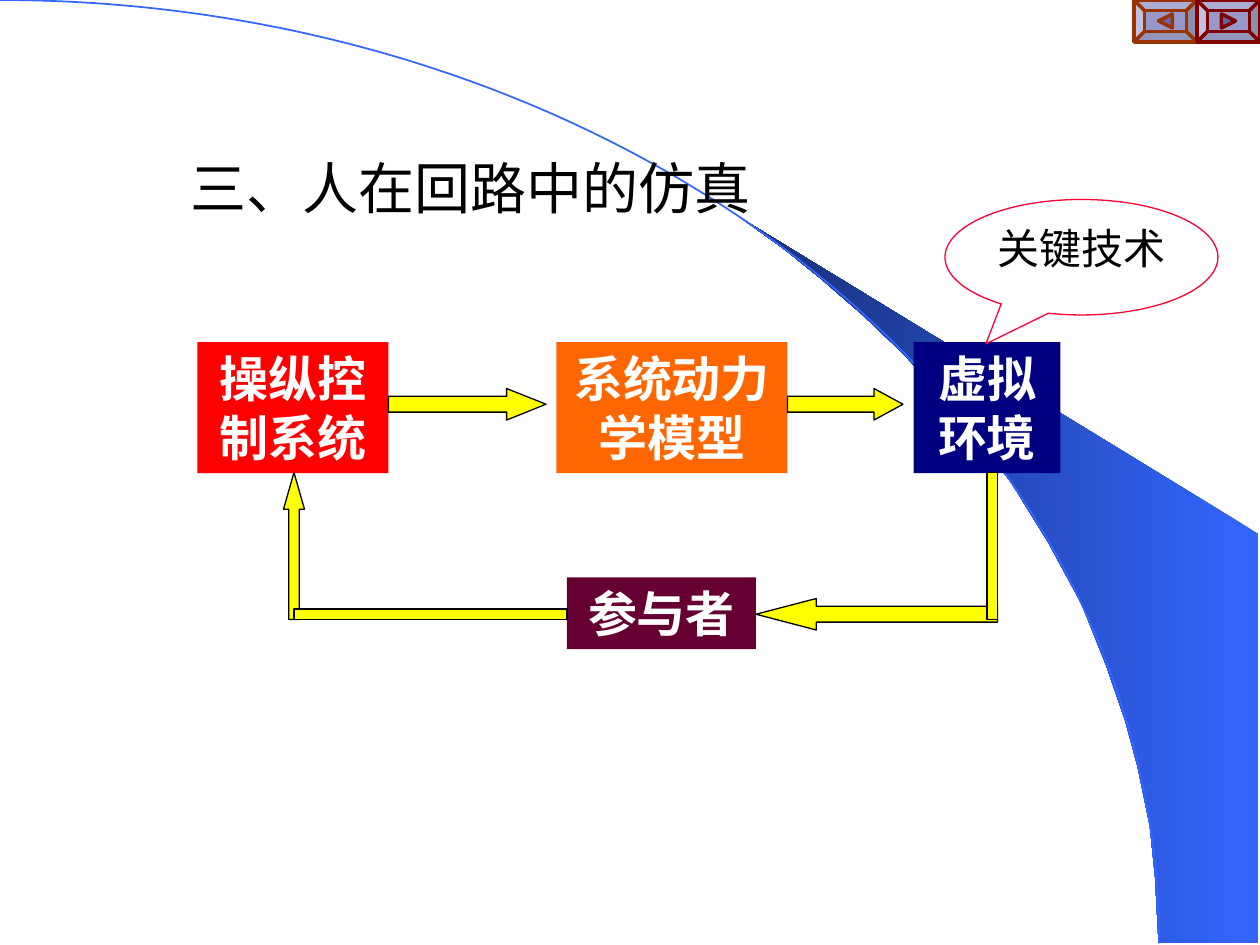
from dataclasses import dataclass
from lxml.etree import SubElement
from pptx import Presentation
from pptx.dml.color import RGBColor
from pptx.enum.shapes import MSO_SHAPE as Shape
from pptx.enum.text import MSO_ANCHOR as Anchor, PP_ALIGN as Align
from pptx.oxml.ns import qn
from pptx.util import Pt


@dataclass(frozen=True)
class Theme:
    font: str = "Times New Roman"
    title_size: float = 32
    box_size: float = 28
    note_size: float = 24
    thin: float = 0.75
    arc_width: float = 1
    button_width: float = 2
    black: str = "000000"
    white: str = "FFFFFF"
    blue: str = "3366FF"
    deep_blue: str = "172F75"
    red: str = "FF0000"
    orange: str = "FF6600"
    navy: str = "000080"
    plum: str = "660033"
    yellow: str = "FFFF00"
    callout: str = "FF0033"
    button: str = "333399"
    back: str = "993300"
    forward: str = "800000"


class SlideBuilder:
    """Draws themed elements on one slide, with lengths in points."""

    def __init__(self, slide, theme):
        self.slide = slide
        self.theme = theme

    def style(self, shape, fill=None, line=None, width=0.75, alpha=None):
        shape.shadow.inherit = False
        if fill:
            shape.fill.solid()
            shape.fill.fore_color.rgb = RGBColor.from_string(fill)
            if alpha:
                color = shape.fill._xPr.find(qn("a:solidFill"))[0]
                SubElement(color, qn("a:alpha")).set("val", str(alpha * 1000))
        else:
            shape.fill.background()
        if line:
            shape.line.color.rgb = RGBColor.from_string(line)
            shape.line.width = Pt(width)
        else:
            shape.line.fill.background()
        return shape

    def shape(self, kind, bounds, adjustments=(), **style):
        shape = self.slide.shapes.add_shape(kind, *map(Pt, bounds))
        for index, value in enumerate(adjustments):
            shape.adjustments[index] = value
        return self.style(shape, **style)

    def outline(self, points, **style):
        builder = self.slide.shapes.build_freeform(*points[0], scale=Pt(1))
        builder.add_line_segments(points[1:], close=True)
        return self.style(builder.convert_to_shape(), **style)

    def text(self, shape, text, size, color, bold=False, align=Align.CENTER, wrap=True):
        frame = shape.text_frame
        frame.text = text
        frame.word_wrap = wrap
        frame.vertical_anchor = Anchor.TOP
        paragraph = frame.paragraphs[0]
        paragraph.alignment = align
        font = paragraph.runs[0].font
        font.name, font.size, font.bold = self.theme.font, Pt(size), bold
        font.color.rgb = RGBColor.from_string(color)

    def title(self, text, bounds):
        box = self.slide.shapes.add_textbox(*map(Pt, bounds))
        self.text(box, text, self.theme.title_size, self.theme.black,
                  align=Align.LEFT, wrap=False)

    def box(self, text, bounds, fill):
        shape = self.shape(Shape.RECTANGLE, bounds, fill=fill)
        self.text(shape, text, self.theme.box_size, self.theme.white, bold=True)

    def callout(self, text, bounds, tip):
        shape = self.shape(Shape.OVAL_CALLOUT, bounds, tip,
                           line=self.theme.callout, width=self.theme.thin)
        self.text(shape, text, self.theme.note_size, self.theme.black)

    def bar(self, bounds, kind=Shape.RECTANGLE):
        long_side, short_side = max(bounds[2:]), min(bounds[2:])
        head = () if kind == Shape.RECTANGLE else (0.5, long_side / short_side / 4)
        self.shape(kind, bounds, head, fill=self.theme.yellow,
                   line=self.theme.black, width=self.theme.thin)

    def swoosh(self, points):
        shape = self.outline(points)
        shape.fill.gradient()
        shape.fill.gradient_angle = 180
        colors = self.theme.blue, self.theme.deep_blue
        for position, (stop, color) in enumerate(zip(shape.fill.gradient_stops, colors)):
            stop.position = position
            stop.color.rgb = RGBColor.from_string(color)

    def arc(self, bounds):
        self.shape(Shape.ARC, bounds, line=self.theme.blue, width=self.theme.arc_width)

    def button(self, left, direction, line):
        width, height = 36, 24
        style = dict(fill=self.theme.button, alpha=50, line=line,
                     width=self.theme.button_width)
        self.shape(Shape.BEVEL, (left, 0, width, height), (0.25,), **style)
        middle_x, middle_y = left + width / 2, height / 2
        tip, base = middle_x + 4.5 * direction, middle_x - 4.5 * direction
        self.outline([(tip, middle_y), (base, middle_y - 4.5),
                      (base, middle_y + 4.5)], **style)


SWOOSH = [
    (662.4, 538.6), (719.3, 539.3), (719.3, 304.6), (424.1, 124.6),
    (449.3, 143.3), (470.2, 159.8), (493.2, 180), (515.5, 201.6),
    (548.6, 237.6), (578.2, 276.5), (599, 310.3), (617.8, 344.9),
    (632.2, 380.2), (643, 411.8), (650.2, 438.5), (657.4, 472.3),
    (660.2, 501.1),
]


def main():
    presentation = Presentation()
    presentation.slide_width, presentation.slide_height = Pt(720), Pt(540)
    slide = presentation.slides.add_slide(presentation.slide_layouts[6])
    theme = Theme()
    builder = SlideBuilder(slide, theme)

    builder.swoosh(SWOOSH)
    builder.arc((-662.4, 0, 1324.8, 1078))
    builder.button(648, -1, theme.back)
    builder.button(684, 1, theme.forward)
    builder.title("三、人在回路中的仿真", (102, 84, 335, 46))

    row_top, row_height = 195.6, 74.9
    for text, left, width, fill in (
        ("操纵控制系统", 112.8, 109.2, theme.red),
        ("系统动力学模型", 318, 132, theme.orange),
        ("虚拟环境", 522, 84, theme.navy),
    ):
        builder.box(text, (left, row_top, width, row_height), fill)
    builder.bar((450, 222, 66, 18), Shape.RIGHT_ARROW)
    builder.bar((222, 222, 90, 18), Shape.RIGHT_ARROW)
    builder.box("参与者", (324, 330, 108, 41), theme.plum)
    builder.bar((432, 342, 138, 18), Shape.LEFT_ARROW)
    builder.bar((564, 270, 6, 84))
    builder.bar((162, 270, 12, 84), Shape.UP_ARROW)
    builder.bar((168, 348, 156, 6))
    builder.callout("关键技术", (540, 114, 156, 66), (-0.35, 0.75))

    presentation.save("out.pptx")


main()
